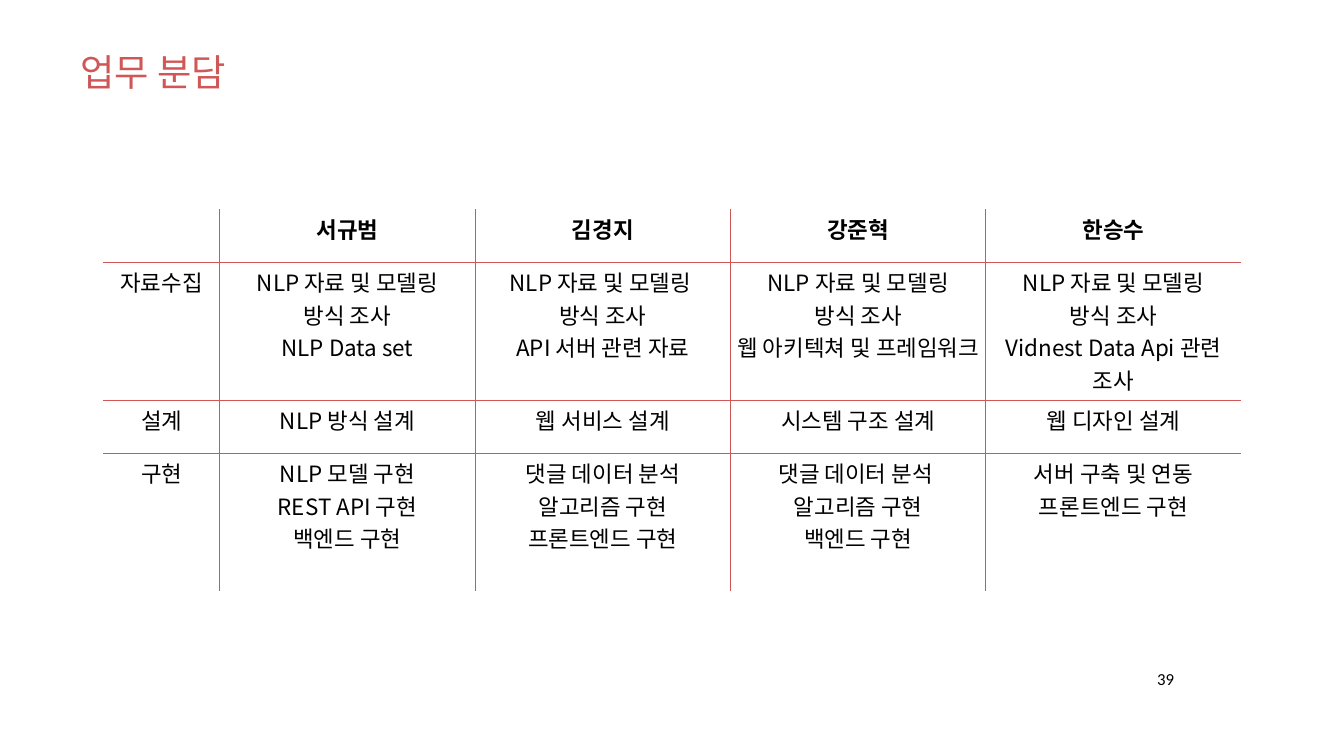
from lxml.etree import SubElement
from pptx import Presentation
from pptx.dml.color import RGBColor as RGB
from pptx.enum.text import PP_ALIGN as Align
from pptx.oxml import parse_xml
from pptx.oxml.ns import nsdecls, qn
from pptx.util import Inches, Pt

WIDTH, HEIGHT = 20, 11.25
KOREAN, LATIN = "Noto Sans CJK KR", "Calibri"
RED, BLACK = "D05757", "000000"
COLUMNS = [1.73] + [3.8] * 4
ROWS = [0.79, 2.05] * 2

TASKS = [
    ["", "서규범", "김경지", "강준혁", "한승수"],
    ["자료수집",
     "NLP 자료 및 모델링\n방식 조사\nNLP Data set",
     "NLP 자료 및 모델링 \n방식 조사\nAPI 서버 관련 자료",
     "NLP 자료 및 모델링\n방식 조사\n웹 아키텍쳐 및 프레임워크",
     "NLP 자료 및 모델링\n방식 조사\nVidnest Data Api 관련 조사"],
    ["설계", "NLP 방식 설계", "웹 서비스 설계", "시스템 구조 설계", "웹 디자인 설계"],
    ["구현",
     "NLP 모델 구현\nREST API 구현\n백엔드 구현",
     "댓글 데이터 분석\n알고리즘 구현\n프론트엔드 구현",
     "댓글 데이터 분석 \n알고리즘 구현\n백엔드 구현",
     "서버 구축 및 연동\n프론트엔드 구현"],
]


def color(value):
    return RGB.from_string(value)


def across(share):
    return Inches(WIDTH * share)


def down(share):
    return Inches(HEIGHT * share)


def write(tf, text, size, font=KOREAN, ink=BLACK, bold=False, align=Align.LEFT):
    tf.text = text
    for p in tf.paragraphs:
        p.alignment = align
        for r in p.runs:
            r.font.size, r.font.bold, r.font.name = Pt(size), bold, font
            r.font.color.rgb = color(ink)
            SubElement(r.font._element, qn("a:ea"), typeface=font)


def add_text(s, box, text, size, **style):
    left, top, width, height = box
    sp = s.shapes.add_textbox(across(left), down(top), across(width), down(height))
    sp.text_frame.word_wrap = True
    write(sp.text_frame, text, size, **style)


def set_borders(cell, shown):
    """Rule the sides named in shown and clear the others."""
    tc_pr = cell._tc.get_or_add_tcPr()
    for i, side in enumerate("LRTB"):
        paint = f'<a:solidFill><a:srgbClr val="{RED}"/></a:solidFill>' if side in shown else "<a:noFill/>"
        tc_pr.insert(i, parse_xml(
            f'<a:ln{side} {nsdecls("a")} w="{Pt(1)}">{paint}</a:ln{side}>'))


def add_task_table(s, left, top):
    frame = s.shapes.add_table(len(ROWS), len(COLUMNS), across(left), down(top),
                               Inches(sum(COLUMNS)), Inches(sum(ROWS)))
    table = frame.table
    table.first_row = table.horz_banding = False
    for column, width in zip(table.columns, COLUMNS):
        column.width = Inches(width)
    for row, height in zip(table.rows, ROWS):
        row.height = Inches(height)

    last_row, last_col = len(ROWS) - 1, len(COLUMNS) - 1
    for i, texts in enumerate(TASKS):
        for j, text in enumerate(texts):
            cell = table.cell(i, j)
            cell.fill.background()
            write(cell.text_frame, text, 24, bold=i == 0, align=Align.CENTER)
            # Only the inner grid lines are drawn
            inner = {"L": j > 0, "R": j < last_col, "T": i > 0, "B": i < last_row}
            set_borders(cell, [side for side, on in inner.items() if on])


def main():
    prs = Presentation()
    prs.slide_width, prs.slide_height = Inches(WIDTH), Inches(HEIGHT)
    s = prs.slides.add_slide(prs.slide_layouts[6])

    # Title
    add_text(s, (0.055, 0.061, 0.274, 0.068), "업무 분담", 40, ink=RED)
    # Who does what, by phase
    add_task_table(s, 0.077, 0.277)
    # Page number
    add_text(s, (0.856, 0.88, 0.024, 0.036), "39", 18, font=LATIN)

    prs.save("out.pptx")


if __name__ == "__main__":
    main()
